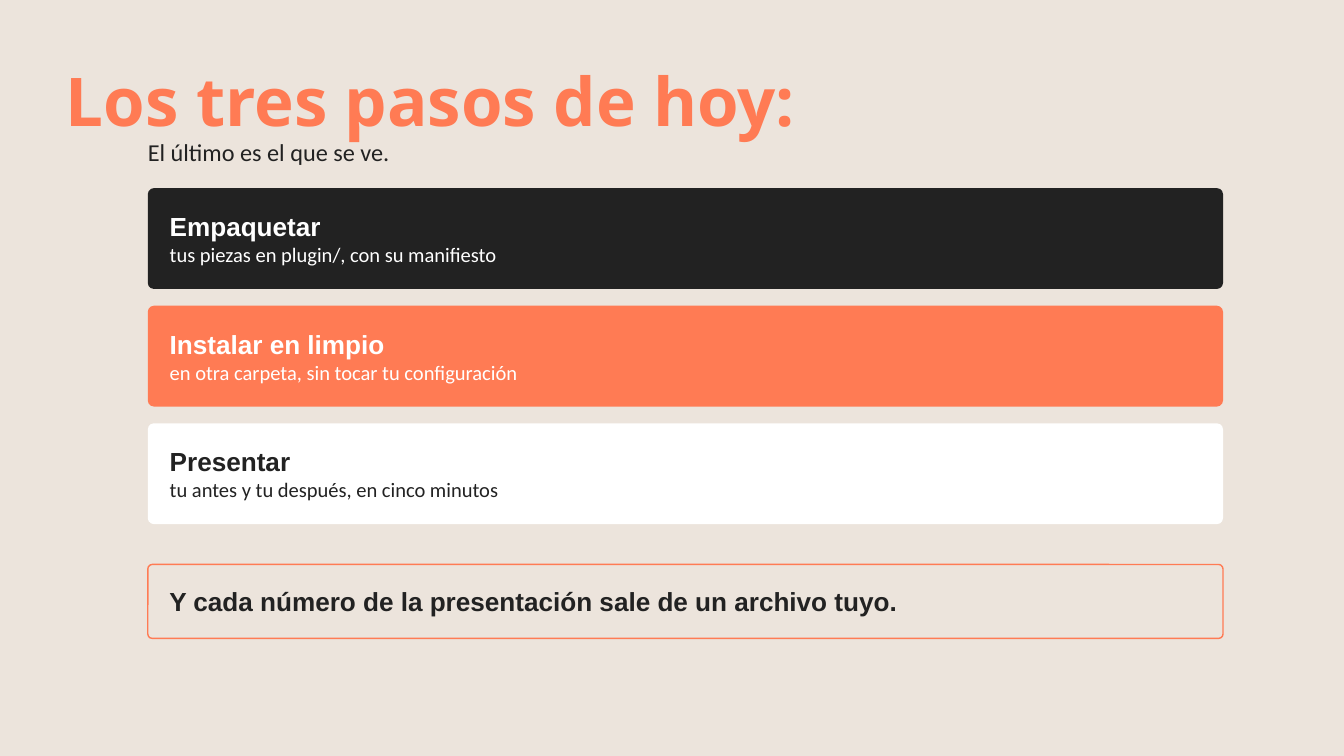
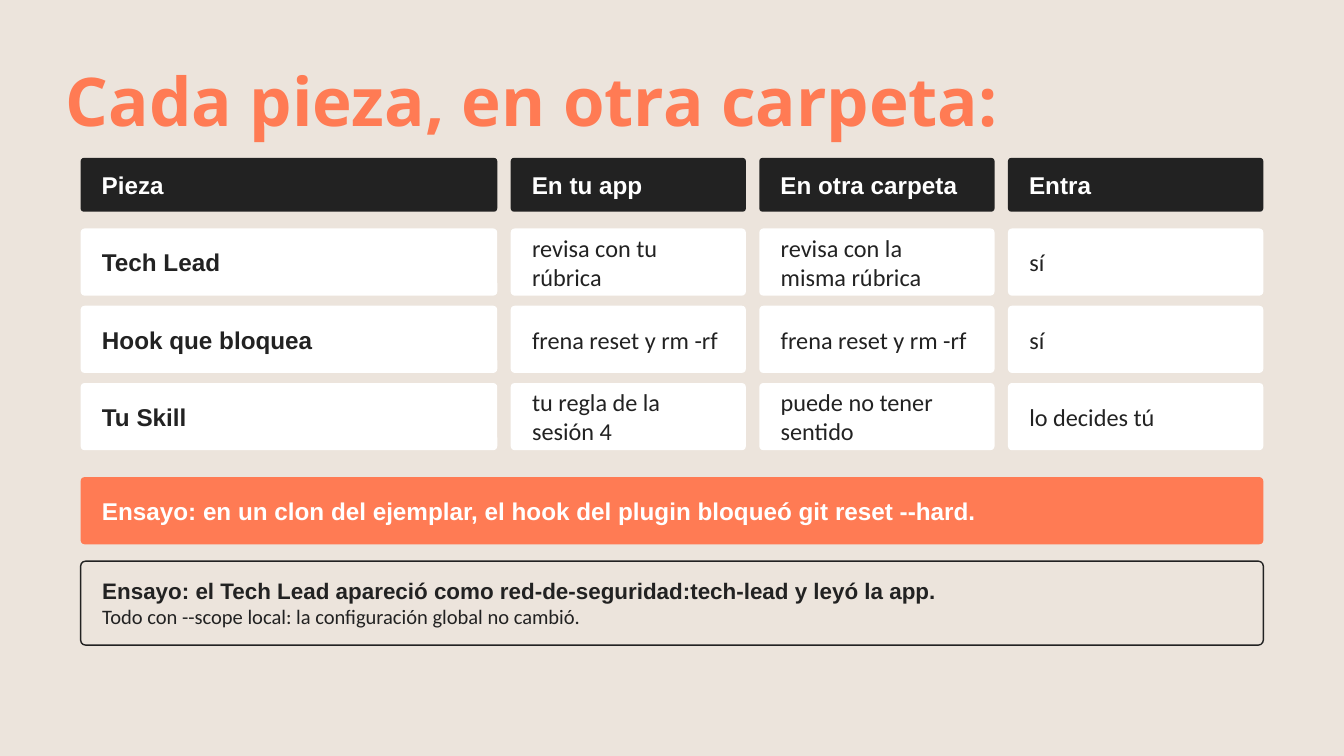
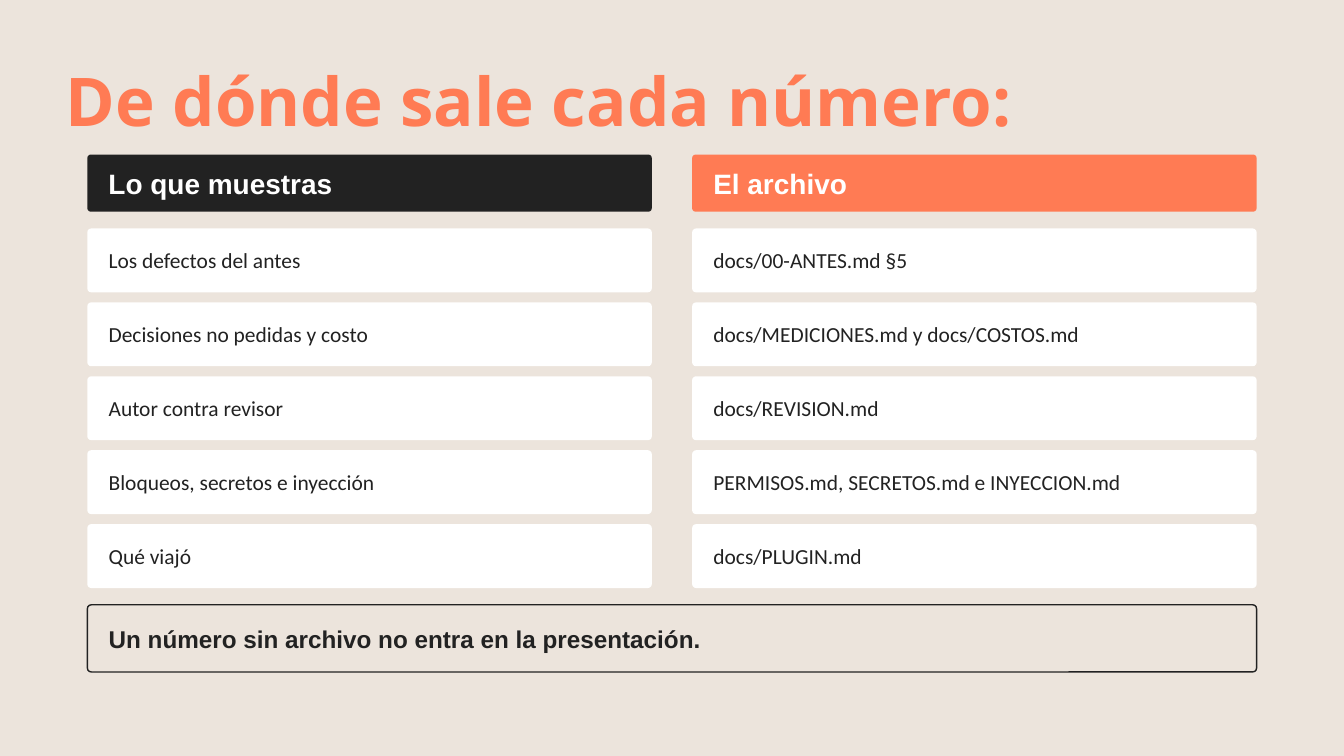
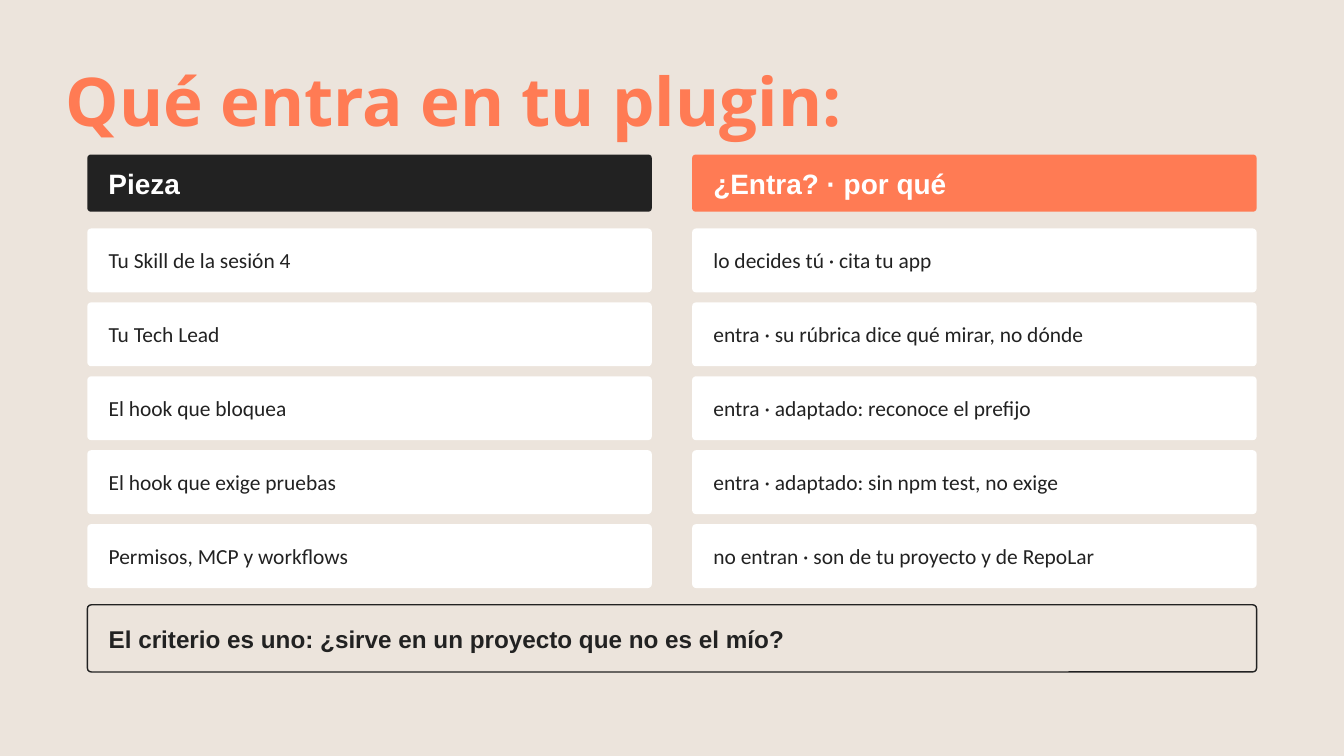
"""Build four slides on packing, installing and presenting a plugin."""
from pptx import Presentation
from pptx.dml.color import RGBColor
from pptx.enum.shapes import MSO_SHAPE
from pptx.enum.text import MSO_ANCHOR, MSO_AUTO_SIZE, PP_ALIGN
from pptx.util import Pt

ROUNDED = MSO_SHAPE.ROUNDED_RECTANGLE
MIDDLE = MSO_ANCHOR.MIDDLE
GROW = MSO_AUTO_SIZE.SHAPE_TO_FIT_TEXT
LEFT = PP_ALIGN.LEFT

COLORS = {"sand": "ECE4DC", "coral": "FF7B54", "ink": "222222", "white": "FFFFFF"}
HEAD, BODY, TITLE = "Arial", "Calibri", "Open Sans"


class Deck:
    def __init__(self):
        self.prs = Presentation()
        self.prs.slide_width, self.prs.slide_height = Pt(1440), Pt(810)
        self.s = None

    def color(self, name):
        return RGBColor.from_string(COLORS[name])

    def slide(self, title, width=1296):
        self.s = self.prs.slides.add_slide(self.prs.slide_layouts[6])
        fill = self.s.background.fill
        fill.solid()
        fill.fore_color.rgb = self.color("sand")
        p = self.text(70.56, 49.68, width, 96.48, (title, TITLE, 72, True), "coral")
        p.line_spacing = Pt(100.8)

    def fill_text(self, tf, lines, color, **frame):
        for key, value in frame.items():
            setattr(tf, key, value)
        for i, (text, name, size, bold) in enumerate(lines):
            p = tf.add_paragraph() if i else tf.paragraphs[0]
            p.alignment = LEFT
            r = p.add_run()
            r.text = text
            for key, value in {"name": name, "size": Pt(size), "bold": bold}.items():
                setattr(r.font, key, value)
            r.font.color.rgb = self.color(color)

    def text(self, x, y, w, h, line, color):
        tf = self.s.shapes.add_textbox(Pt(x), Pt(y), Pt(w), Pt(h)).text_frame
        self.fill_text(tf, [line], color, word_wrap=True, auto_size=GROW, margin_left=0,
                       margin_right=0, margin_top=0, margin_bottom=0)
        return tf.paragraphs[0]

    def card(self, x, y, w, h, *lines, fill=None, line=None):
        sp = self.s.shapes.add_shape(ROUNDED, Pt(x), Pt(y), Pt(w), Pt(h))
        sp.adjustments[0] = 0.06
        sp.shadow.inherit = False
        if fill:
            sp.fill.solid()
            sp.fill.fore_color.rgb = self.color(fill)
        else:
            sp.fill.background()
        if line:
            sp.line.color.rgb = self.color(line)
            sp.line.width = Pt(1.5)
        else:
            sp.line.fill.background()
        color = "white" if fill in ("ink", "coral") else "ink"
        self.fill_text(sp.text_frame, lines, color, word_wrap=True, vertical_anchor=MIDDLE,
                       margin_left=Pt(21.6), margin_right=Pt(21.6),
                       margin_top=Pt(7.2), margin_bottom=Pt(7.2))

    def two_columns(self, title, columns, closing):
        self.slide(title)
        for i, (header, fill, items) in enumerate(columns):
            x = 93.6 + 648 * i
            self.card(x, 165.6, 604.8, 61.2, (header, HEAD, 30, True), fill=fill)
            for j, item in enumerate(items):
                self.card(x, 244.8 + 79.2 * j, 604.8, 68.4, (item, BODY, 23, False), fill="white")
        self.card(93.6, 648, 1252.8, 72, (closing, HEAD, 26, True), line="ink")


def steps(deck):
    deck.slide("Los tres pasos de hoy:", 1126.8)
    x, w = 158.4, 1152
    deck.text(x, 147.6, w, 36, ("El último es el que se ve.", BODY, 26, False), "ink")
    cards = [
        ("Empaquetar", "tus piezas en plugin/, con su manifiesto", "ink"),
        ("Instalar en limpio", "en otra carpeta, sin tocar tu configuración", "coral"),
        ("Presentar", "tu antes y tu después, en cinco minutos", "white"),
    ]
    for i, (name, detail, fill) in enumerate(cards):
        deck.card(x, 201.6 + 126 * i, w, 108, (name, HEAD, 28, True),
                  (detail, BODY, 22, False), fill=fill)
    deck.card(x, 604.8, w, 79.2,
              ("Y cada número de la presentación sale de un archivo tuyo.", HEAD, 28, True),
              line="coral")


def pieces(deck):
    deck.slide("Cada pieza, en otra carpeta:")
    left, gap, full = 86.4, 14.4, 1267.2
    widths = [446.4, 252, 252, 273.6]
    rows = [
        ("Pieza", "En tu app", "En otra carpeta", "Entra"),
        ("Tech Lead", "revisa con tu rúbrica", "revisa con la misma rúbrica", "sí"),
        ("Hook que bloquea", "frena reset y rm -rf", "frena reset y rm -rf", "sí"),
        ("Tu Skill", "tu regla de la sesión 4", "puede no tener sentido", "lo decides tú"),
    ]
    for i, row in enumerate(rows):
        y, h, fill = (244.8 + 82.8 * (i - 1), 72, "white") if i else (169.2, 57.6, "ink")
        for j, text in enumerate(row):
            x = left + sum(widths[:j]) + gap * j
            strong = i == 0 or j == 0
            deck.card(x, y, widths[j], h, (text, HEAD if strong else BODY, 26, strong), fill=fill)
    deck.card(left, 511.2, full, 72,
              ("Ensayo: en un clon del ejemplar, el hook del plugin bloqueó git reset --hard.",
               HEAD, 26, True), fill="coral")
    deck.card(left, 601.2, full, 90,
              ("Ensayo: el Tech Lead apareció como red-de-seguridad:tech-lead y leyó la app.",
               HEAD, 24, True),
              ("Todo con --scope local: la configuración global no cambió.", BODY, 22, False),
              line="ink")


def sources(deck):
    deck.two_columns("De dónde sale cada número:", [
        ("Lo que muestras", "ink", [
            "Los defectos del antes", "Decisiones no pedidas y costo", "Autor contra revisor",
            "Bloqueos, secretos e inyección", "Qué viajó"]),
        ("El archivo", "coral", [
            "docs/00-ANTES.md §5", "docs/MEDICIONES.md y docs/COSTOS.md", "docs/REVISION.md",
            "PERMISOS.md, SECRETOS.md e INYECCION.md", "docs/PLUGIN.md"]),
    ], "Un número sin archivo no entra en la presentación.")


def contents(deck):
    deck.two_columns("Qué entra en tu plugin:", [
        ("Pieza", "ink", [
            "Tu Skill de la sesión 4", "Tu Tech Lead", "El hook que bloquea",
            "El hook que exige pruebas", "Permisos, MCP y workflows"]),
        ("¿Entra? · por qué", "coral", [
            "lo decides tú · cita tu app", "entra · su rúbrica dice qué mirar, no dónde",
            "entra · adaptado: reconoce el prefijo", "entra · adaptado: sin npm test, no exige",
            "no entran · son de tu proyecto y de RepoLar"]),
    ], "El criterio es uno: ¿sirve en un proyecto que no es el mío?")


def main():
    deck = Deck()
    for build in (steps, pieces, sources, contents):
        build(deck)
    deck.prs.save("out.pptx")


if __name__ == "__main__":
    main()
